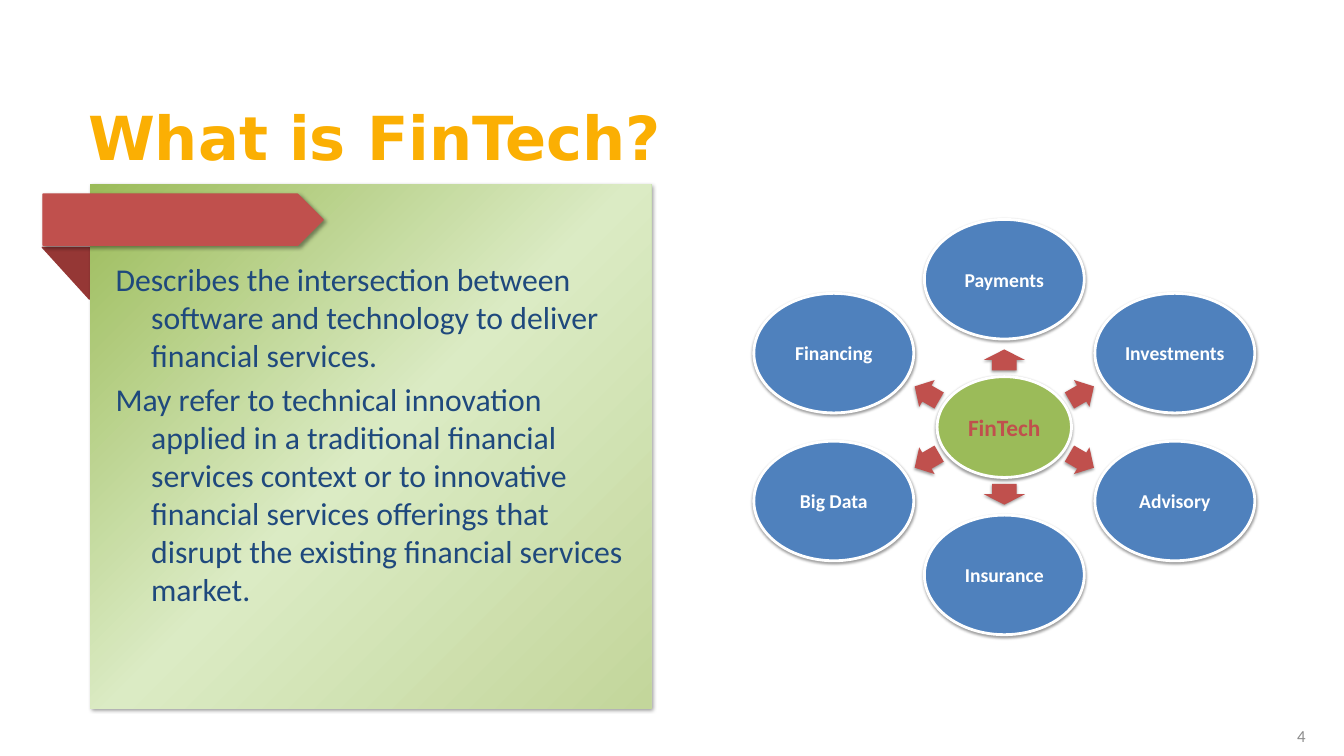
from copy import deepcopy
from math import cos, radians, sin

from lxml import etree
from pptx import Presentation
from pptx.dml.color import RGBColor
from pptx.enum.shapes import MSO_SHAPE
from pptx.enum.text import MSO_ANCHOR, MSO_AUTO_SIZE, PP_ALIGN
from pptx.oxml.ns import qn
from pptx.util import Inches, Pt

OVAL, ARROW = MSO_SHAPE.OVAL, MSO_SHAPE.RIGHT_ARROW
RECT, TRIANGLE, BANNER = MSO_SHAPE.RECTANGLE, MSO_SHAPE.RIGHT_TRIANGLE, MSO_SHAPE.PENTAGON
LEFT, CENTER, RIGHT = PP_ALIGN.LEFT, PP_ALIGN.CENTER, PP_ALIGN.RIGHT
TOP, MIDDLE = MSO_ANCHOR.TOP, MSO_ANCHOR.MIDDLE

TITLE = "What is FinTech?"
DEFINITION = [
    "Describes the intersection between software and technology to deliver financial services.",
    "May refer to technical innovation applied in a traditional financial services context or to "
    "innovative financial services offerings that disrupt the existing financial services market.",
]
HUB = "FinTech"
SECTORS = ["Payments", "Investments", "Advisory", "Insurance", "Big Data", "Financing"]  # clockwise
PAGE = "4"

COLORS = {
    "title": "FBAF03", "body": "1F497D", "page": "8C8C8C", "white": "FFFFFF", "black": "000000",
    "green": "9BBB59", "pale": "DBEBC4", "sage": "C3D69B",
    "blue": "4F81BD", "red": "C0504D", "dark_red": "953735",
}
FONTS = {
    "title": {"name": "DejaVu Sans", "size": Pt(65), "bold": True},
    "body": {"name": "Calibri", "size": Pt(34)},
    "hub": {"name": "Calibri", "size": Pt(25), "bold": True},
    "sector": {"name": "Calibri", "size": Pt(21), "bold": True},
    "page": {"name": "Calibri", "size": Pt(18)},
}
# blur and distance in points, direction in degrees, opacity in percent
WHEEL_SHADOW = {"blur": 3.1, "dist": 1.6, "angle": 90, "alpha": 38}
PANEL_SHADOW = {"blur": 4, "dist": 3, "angle": 45, "alpha": 40}

WHEEL_CENTER = (14.945, 6.355)
SECTOR_ORBIT, ARROW_ORBIT = (2.93, 2.2), (1.33, 1)
HUB_SIZE, SECTOR_SIZE = (2, 1.5), (2.38, 1.78)
UPRIGHT_ARROW, SLANTED_ARROW = (0.31, 0.61), (0.42, 0.46)


def rgb(color):
    return RGBColor.from_string(COLORS[color])


def box(left, top, width, height):
    return [Inches(v) for v in (left, top, width, height)]


def centered(center, size):
    return [center[0] - size[0] / 2, center[1] - size[1] / 2, *size]


def on_orbit(orbit, angle):
    return [c + r * f(radians(angle)) for c, r, f in zip(WHEEL_CENTER, orbit, (cos, sin))]


def write(frame, paragraphs, style, color, align=LEFT, anchor=TOP, side=0):
    frame.word_wrap = True
    frame.auto_size = MSO_AUTO_SIZE.NONE
    frame.vertical_anchor = anchor
    frame.margin_left = frame.margin_right = Inches(side)
    frame.margin_top = frame.margin_bottom = 0
    for i, text in enumerate(paragraphs):
        p = frame.add_paragraph() if i else frame.paragraphs[0]
        p.text, p.alignment = text, align
        for key, value in FONTS[style].items():
            setattr(p.font, key, value)
        p.font.color.rgb = rgb(color)


def add_shadow(shape, blur, dist, angle, alpha):
    shadow = etree.SubElement(
        shape._element.spPr.find(qn("a:effectLst")), qn("a:outerShdw"),
        blurRad=str(Pt(blur)), dist=str(Pt(dist)), dir=str(angle * 60000), rotWithShape="0")
    shade = etree.SubElement(shadow, qn("a:srgbClr"), val=COLORS["black"])
    etree.SubElement(shade, qn("a:alpha"), val=str(alpha * 1000))


def add_shape(kind, place, fill, line=None, line_width=1.5, shadow=None, rotation=0):
    shape = slide.shapes.add_shape(kind, *box(*place))
    shape.rotation = rotation
    shape.fill.solid()
    shape.fill.fore_color.rgb = rgb(fill)
    if line:
        shape.line.color.rgb = rgb(line)
        shape.line.width = Pt(line_width)
    else:
        shape.line.fill.background()
    shape.shadow.inherit = False
    if shadow:
        add_shadow(shape, **shadow)
    return shape


def add_gradient(shape, stops, angle):
    shape.fill.gradient()
    shape.fill.gradient_angle = angle
    stop_list = shape._element.spPr.find(f".//{qn('a:gsLst')}")
    while len(stop_list) < len(stops):
        stop_list.append(deepcopy(stop_list[0]))
    for stop, (position, color) in zip(shape.fill.gradient_stops, stops):
        stop.position = position
        stop.color.rgb = rgb(color)


def add_oval(center, size, fill, label, style, color):
    oval = add_shape(OVAL, centered(center, size), fill, "white", 3, WHEEL_SHADOW)
    write(oval.text_frame, [label], style, color, CENTER, MIDDLE)


prs = Presentation()
prs.slide_width, prs.slide_height = Inches(20), Inches(11.25)
slide = prs.slides.add_slide(prs.slide_layouts[5])

title = slide.shapes.title
title.left, title.top, title.width, title.height = box(1.31, 1.49, 17.32, 0.81)
write(title.text_frame, [TITLE], "title", "title")

page = slide.shapes.add_textbox(*box(18.89, 10.8, 0.54, 0.3))
write(page.text_frame, [PAGE], "page", "page", RIGHT)

# Wheel: hub, with an arrow to each sector
add_oval(WHEEL_CENTER, HUB_SIZE, "green", HUB, "hub", "red")
for i, sector in enumerate(SECTORS):
    angle = i * 360 / len(SECTORS) - 90
    arrow_size = SLANTED_ARROW if i % 3 else UPRIGHT_ARROW
    arrow = add_shape(ARROW, centered(on_orbit(ARROW_ORBIT, angle), arrow_size), "red",
                      shadow=WHEEL_SHADOW, rotation=angle % 360)
    arrow.adjustments[0], arrow.adjustments[1] = 0.6, 0.5
    add_oval(on_orbit(SECTOR_ORBIT, angle), SECTOR_SIZE, "blue", sector, "sector", "white")

# Definition panel with its folded ribbon
add_shape(TRIANGLE, (0.63, 3.68, 0.7, 0.77), "dark_red", "dark_red", rotation=180)
panel = add_shape(RECT, (1.34, 2.74, 8.35, 7.8), "green", shadow=PANEL_SHADOW)
add_gradient(panel, [(0, "green"), (0.5, "pale"), (1, "sage")], 315)
add_shape(BANNER, (0.64, 2.89, 4.17, 0.76), "red", "red", shadow=PANEL_SHADOW)

definition = slide.shapes.add_textbox(*box(1.36, 3.87, 8.35, 6.24))
write(definition.text_frame, DEFINITION, "body", "body", side=0.36)
for i, paragraph in enumerate(definition.text_frame.paragraphs):
    paragraph.space_before = Pt(5.4 if i else 0)
    properties = paragraph._p.get_or_add_pPr()
    properties.set("marL", str(Inches(0.53)))
    properties.set("indent", str(Inches(-0.53)))

prs.save("out.pptx")
